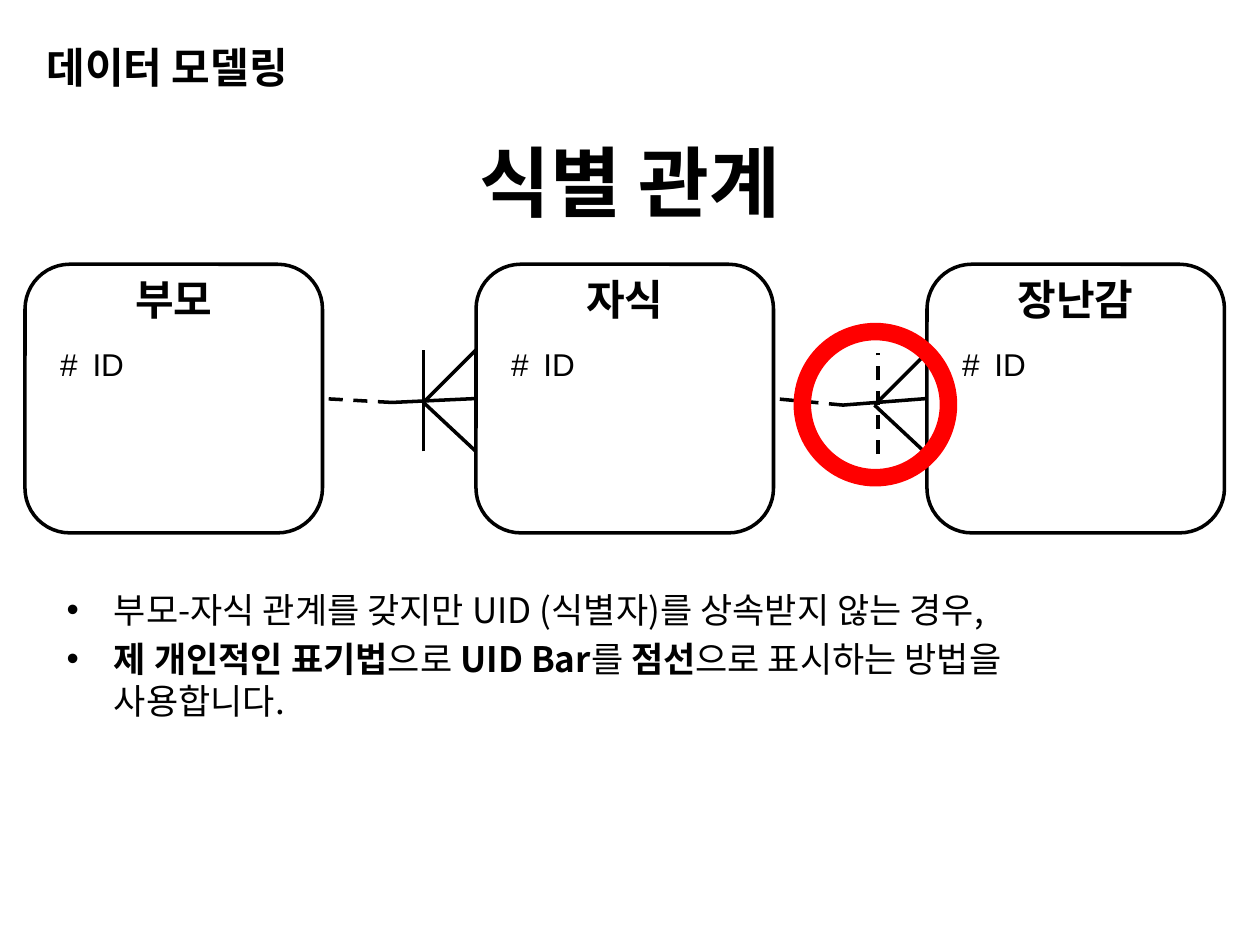
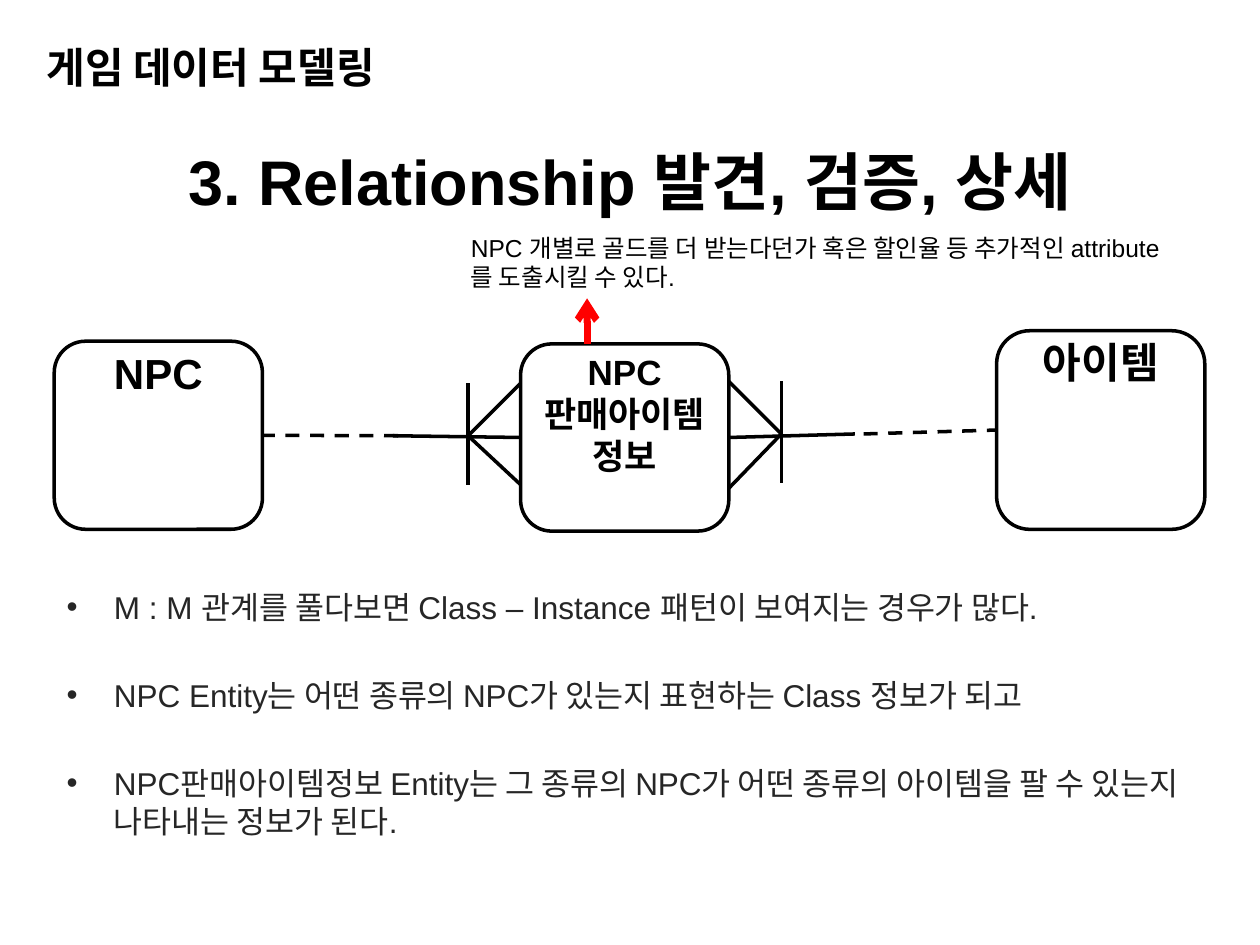
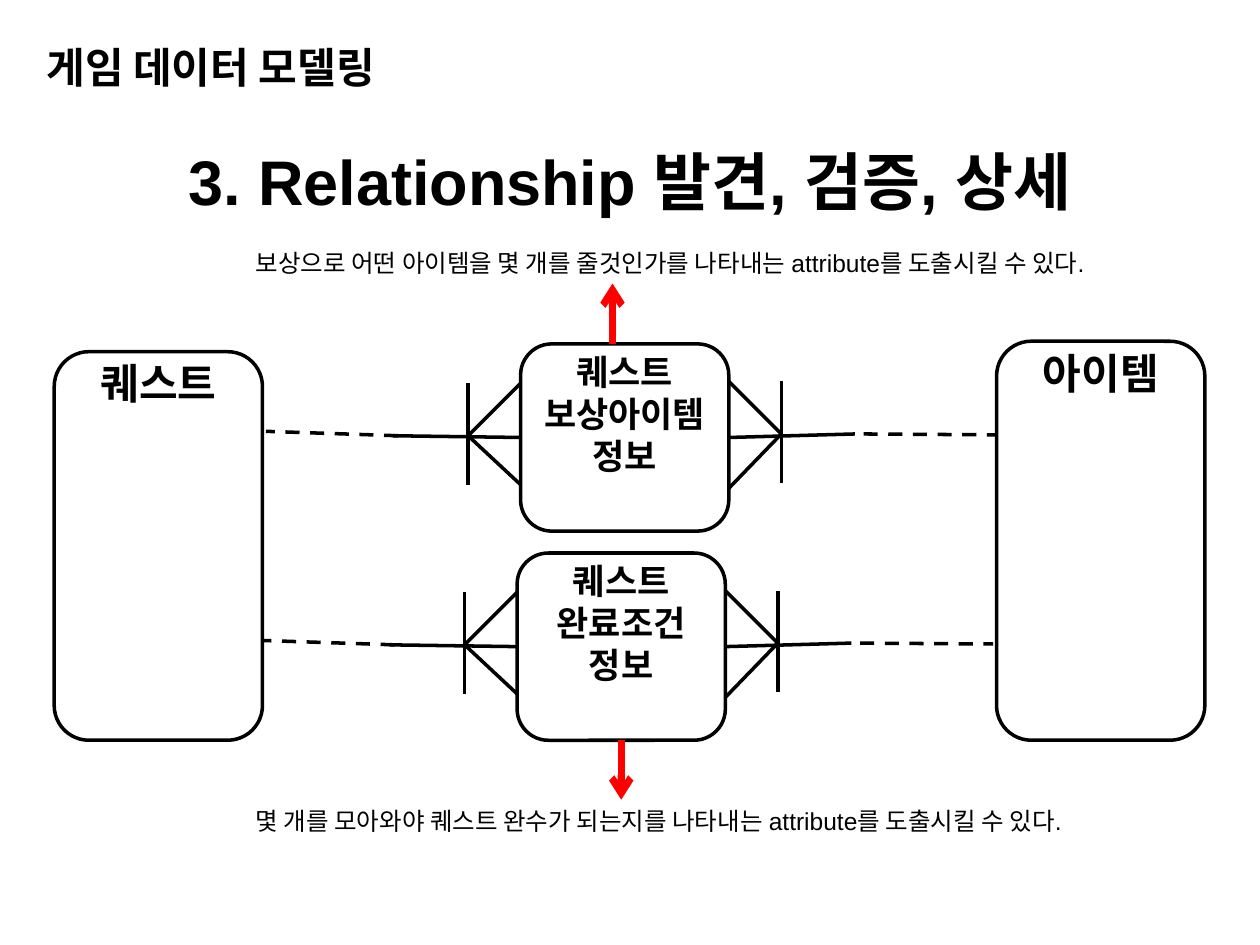
from dataclasses import dataclass

from lxml.etree import SubElement
from pptx import Presentation
from pptx.dml.color import RGBColor
from pptx.enum.dml import MSO_LINE
from pptx.enum.shapes import MSO_CONNECTOR, MSO_SHAPE
from pptx.enum.text import MSO_ANCHOR, PP_ALIGN
from pptx.oxml.ns import qn
from pptx.util import Pt


@dataclass(frozen=True)
class Theme:
    ink: RGBColor = RGBColor(0x00, 0x00, 0x00)
    soft_ink: RGBColor = RGBColor(0x26, 0x26, 0x26)
    accent: RGBColor = RGBColor(0xFF, 0x00, 0x00)
    font: str = "Arial"
    korean_font: str = "Noto Sans CJK KR"
    large_title: float = 44
    title: float = 36
    heading: float = 24
    label: float = 20
    body: float = 18
    note: float = 14
    line: float = 2
    arrow: float = 4
    ring: float = 10


@dataclass(frozen=True)
class Box:
    left: float
    top: float
    width: float
    height: float

    @property
    def right(self):
        return self.left + self.width

    def inset(self, x, y, width, height):
        return Box(self.left + x, self.top + y, width, height)

    def lengths(self):
        return [Pt(value) for value in (self.left, self.top, self.width, self.height)]


@dataclass(frozen=True)
class Entity:
    box: Box
    shape: object


THEME = Theme()
TITLE_BOX = Box(0, 60.5, 720, 85)
CHAPTER_BOX = Box(19.5, 20, 329, 40)
LEFT, TOP, RIGHT = 1, 0, 3
BOTTOM = 2
FOOT = 30  # length of a crow's foot
RISE, DROP = 30, 28  # reach of a crow's foot above and below its tip
DASHED = MSO_LINE.DASH


def style(paragraph, size, color=THEME.ink, bold=False, font=THEME.font):
    paragraph.font.name = font
    paragraph.font.size = Pt(size)
    paragraph.font.bold = bold
    paragraph.font.color.rgb = color


def add_text(slide, box, lines, size, bold=False, align=PP_ALIGN.LEFT,
             anchor=MSO_ANCHOR.TOP):
    frame = slide.shapes.add_textbox(*box.lengths()).text_frame
    frame.word_wrap = True
    frame.vertical_anchor = anchor
    frame.text = lines
    for paragraph in frame.paragraphs:
        paragraph.alignment = align
        style(paragraph, size, bold=bold)


def add_bullets(slide, box, items, size, gap, color=THEME.ink, font=THEME.font,
                line_spacing=None):
    """Each item is a list of (text, bold) runs."""
    frame = slide.shapes.add_textbox(*box.lengths()).text_frame
    frame.word_wrap = True
    for index, runs in enumerate(items):
        paragraph = frame.add_paragraph() if index else frame.paragraphs[0]
        if index:
            paragraph.space_before = Pt(gap)
        if line_spacing:
            paragraph.line_spacing = Pt(line_spacing)
        properties = paragraph._p.get_or_add_pPr()
        properties.set("marL", str(Pt(27)))
        properties.set("indent", str(Pt(-27)))
        SubElement(properties, qn("a:buFont"), typeface=THEME.font)
        SubElement(properties, qn("a:buChar"), char="•")
        style(paragraph, size, color, font=font)
        for text, bold in runs:
            run = paragraph.add_run()
            run.text = text
            if bold:
                run.font.bold = True


def add_line(slide, start, end, color=THEME.ink, width=THEME.line, dash=None,
             arrow=False, start_joint=None, end_joint=None):
    """A joint is an (entity, side) pair that fixes that end of the line."""
    connector = slide.shapes.add_connector(
        MSO_CONNECTOR.STRAIGHT, *[Pt(value) for value in (*start, *end)])
    connector.line.color.rgb = color
    connector.line.width = Pt(width)
    if dash:
        connector.line.dash_style = dash
    properties = connector._element.spPr
    if arrow:
        SubElement(properties.find(qn("a:ln")), qn("a:tailEnd"), type="arrow")
    SubElement(properties, qn("a:effectLst"))
    if start_joint:
        connector.begin_connect(start_joint[0].shape, start_joint[1])
    if end_joint:
        connector.end_connect(end_joint[0].shape, end_joint[1])


def add_outline(slide, kind, box, color=THEME.ink, width=THEME.line):
    shape = slide.shapes.add_shape(kind, *box.lengths())
    shape.shadow.inherit = False
    shape.fill.background()
    shape.line.color.rgb = color
    shape.line.width = Pt(width)
    return shape


def add_entity(slide, box, name, size=THEME.heading, name_height=36, name_inset=(0, 0)):
    shape = add_outline(slide, MSO_SHAPE.ROUNDED_RECTANGLE, box)
    x, y = name_inset
    name_box = box.inset(x, y, box.width - 2 * x, name_height)
    add_text(slide, name_box, name, size, bold=True, align=PP_ALIGN.CENTER)
    return Entity(box, shape)


def add_keyed_entity(slide, box, name):
    entity = add_entity(slide, box, name, name_inset=(17, 2))
    add_text(slide, box.inset(31.5, 42.5, 138, 29), "ID", THEME.body)
    add_text(slide, box.inset(13, 42.5, 22, 29), "#", THEME.body)
    return entity


def add_relation(slide, child, side, y, stub, parent=None, far=None,
                 bar_dash=None, bar_offset=FOOT, drop=DROP, gap=0):
    """Crow's foot on one side of the child, then a dashed line to the parent.

    The dashed line joins the parent, or ends at the point far.
    """
    outward = -1 if side == LEFT else 1
    edge = child.box.left if side == LEFT else child.box.right
    tip = (edge + outward * FOOT, y)
    bar_x = edge + outward * bar_offset
    stub_end = (edge + outward * stub, y)
    dash_start = (edge + outward * (stub + gap), y)
    add_line(slide, tip, (edge, y - RISE))
    add_line(slide, tip, (edge, y + drop))
    add_line(slide, (bar_x, y + DROP), (bar_x, y - RISE), dash=bar_dash)
    add_line(slide, (edge, y), stub_end, start_joint=(child, side))
    parent_joint = (parent, RIGHT if side == LEFT else LEFT) if parent else None
    add_line(slide, dash_start, far or dash_start, dash=DASHED, end_joint=parent_joint)


def add_double_relation(slide, child, y, parents=(None, None), far=(None, None)):
    add_relation(slide, child, LEFT, y + 0.5, 73, parents[0], far[0], gap=-3)
    add_relation(slide, child, RIGHT, y - 0.5, 72, parents[1], far[1], drop=31, gap=5)


def add_red_arrow(slide, start, end, joint=None):
    add_line(slide, start, end, THEME.accent, THEME.arrow, arrow=True, start_joint=joint)


def add_titled_slide(presentation, chapter, title, title_size=THEME.title):
    slide = presentation.slides.add_slide(presentation.slide_layouts[6])
    add_text(slide, TITLE_BOX, title, title_size, True, PP_ALIGN.CENTER, MSO_ANCHOR.MIDDLE)
    add_text(slide, CHAPTER_BOX, chapter, THEME.heading, True)
    return slide


def add_relationship_slide(presentation):
    return add_titled_slide(presentation, "게임 데이터 모델링",
                            "3. Relationship 발견, 검증, 상세")


def build_identifying_slide(presentation):
    slide = add_titled_slide(presentation, "데이터 모델링", "식별 관계", THEME.large_title)
    parent, child, toy = [
        add_keyed_entity(slide, Box(14.3 + 257.7 * index, 151, 170, 153.5), name)
        for index, name in enumerate(("부모", "자식", "장난감"))
    ]
    add_relation(slide, child, LEFT, 230, 48, parent)
    add_relation(slide, toy, LEFT, 231.5, 48, child, bar_dash=DASHED, bar_offset=28)
    add_bullets(slide, Box(31, 332.5, 618, 85), [
        [("부모-자식 관계를 갖지만 UID (식별자)를 상속받지 않는 경우,", False)],
        [("제 개인적인 표기법", True), ("으로 ", False), ("UID Bar", True), ("를 ", False),
         ("점선", True), ("으로 표시하는 방법을 사용합니다.", False)],
    ], THEME.label, gap=4, font=THEME.korean_font, line_spacing=24)
    add_outline(slide, MSO_SHAPE.OVAL, Box(458.5, 189.5, 83.5, 83.5),
                THEME.accent, THEME.ring)


def build_sales_slide(presentation):
    slide = add_relationship_slide(presentation)
    npc = add_entity(slide, Box(31, 195, 119, 107.5), "NPC")
    item = add_entity(slide, Box(569.5, 189, 119, 113.5), "아이템")
    sales = add_entity(slide, Box(297.5, 196.5, 119, 107), "NPC\n판매아이템정보",
                       THEME.label, 80)
    add_double_relation(slide, sales, 248.5, parents=(npc, item))
    add_red_arrow(slide, (335.5, 196.5), (335.5, 170.5))
    add_text(slide, Box(262, 129.5, 410, 41),
             "NPC 개별로 골드를 더 받는다던가 혹은 할인율 등 추가적인 "
             "attribute를 도출시킬 수 있다.", THEME.note)
    add_bullets(slide, Box(31, 332.5, 652, 176), [
        [("M : M 관계를 풀다보면 Class – Instance 패턴이 보여지는 경우가 많다.", False)],
        [("NPC Entity는 어떤 종류의 NPC가 있는지 표현하는 Class 정보가 되고", False)],
        [("NPC판매아이템정보 Entity는 그 종류의 NPC가 어떤 종류의 아이템을 팔 수 "
          "있는지 나타내는 정보가 된다.", False)],
    ], THEME.body, gap=28.6, color=THEME.soft_ink)


def build_quest_slide(presentation):
    slide = add_relationship_slide(presentation)
    add_entity(slide, Box(31, 201, 119, 222), "퀘스트")
    add_entity(slide, Box(569.5, 195, 119, 228), "아이템")
    reward, condition = [
        add_entity(slide, box, name, THEME.label, 80)
        for box, name in (
            (Box(297.5, 196.5, 119, 107), "퀘스트\n보상아이템\n정보"),
            (Box(295.5, 316, 119, 107), "퀘스트\n완료조건\n정보"),
        )
    ]
    for entity in (reward, condition):
        box = entity.box
        y = box.top + 52
        add_double_relation(slide, entity, y, far=((box.left - 145.5, y - 2),
                                                   (box.right + 153, y)))
    add_red_arrow(slide, (350, 196.5), (350, 162))
    add_red_arrow(slide, (355, 423), (355, 457), (condition, BOTTOM))
    notes = (
        (138, "보상으로 어떤 아이템을 몇 개를 줄것인가를 나타내는 attribute를 도출시킬 수 있다."),
        (457, "몇 개를 모아와야 퀘스트 완수가 되는지를 나타내는 attribute를 도출시킬 수 있다."),
    )
    for top, note in notes:
        add_text(slide, Box(139, top, 540, 24.5), note, THEME.note)


def main():
    presentation = Presentation()
    presentation.slide_width = Pt(720)
    presentation.slide_height = Pt(540)
    build_identifying_slide(presentation)
    build_sales_slide(presentation)
    build_quest_slide(presentation)
    presentation.save("out.pptx")


if __name__ == "__main__":
    main()
